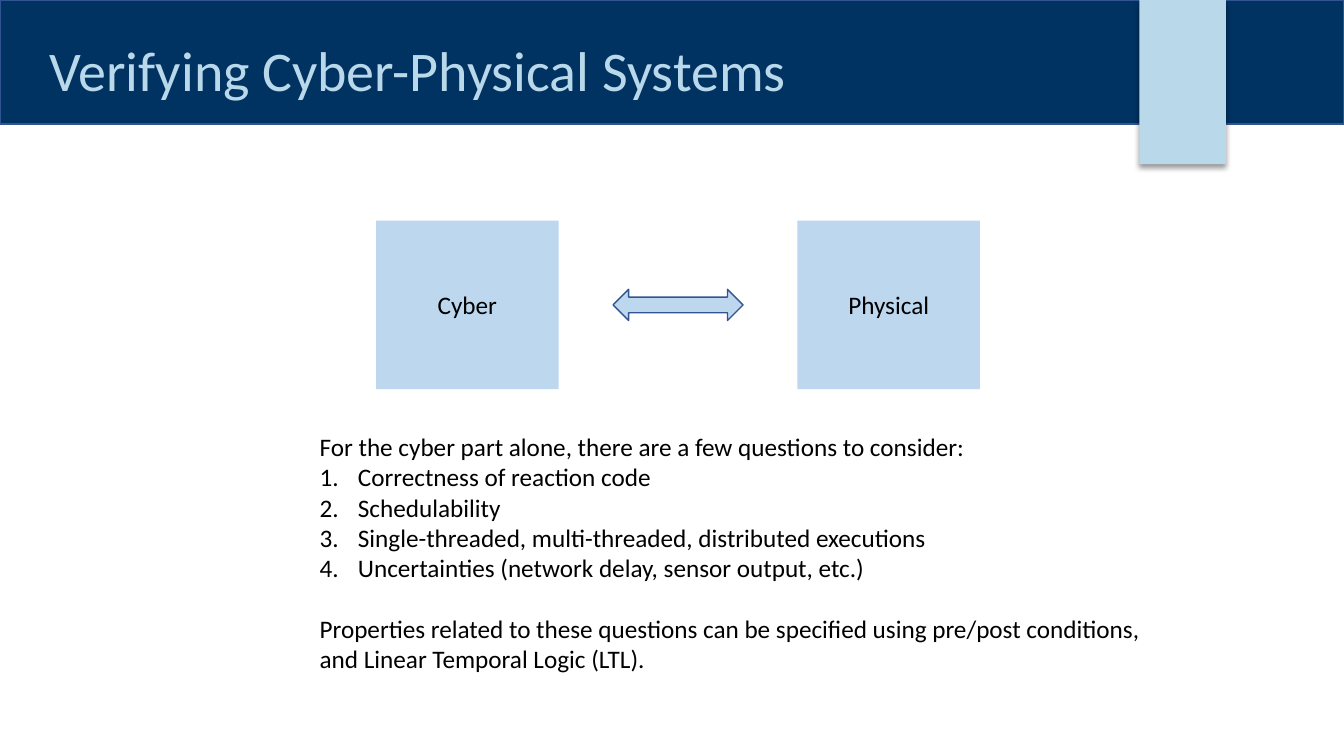
import dataclasses

import lxml.etree
import pptx
import pptx.dml.color
import pptx.enum.shapes
import pptx.enum.text
import pptx.oxml
import pptx.oxml.ns
import pptx.util

SHAPE = pptx.enum.shapes.MSO_SHAPE
ALIGN = pptx.enum.text.PP_ALIGN
ANCHOR = pptx.enum.text.MSO_ANCHOR
WIDTH, HEIGHT = 13.33, 7.5


@dataclasses.dataclass(frozen=True)
class Theme:
    font: str = "Calibri"
    title_size: int = 40
    text_size: int = 18
    navy: str = "003262"
    sky: str = "B9D9EB"
    panel: str = "BDD7EE"
    outline: str = "325491"
    ink: str = "000000"


THEME = Theme()


def rgb(color):
    return pptx.dml.color.RGBColor.from_string(color)


def place(box):
    """Turn a box in percent of the slide's width and height into lengths."""
    return [pptx.util.Inches(share * side / 100)
            for share, side in zip(box, (WIDTH, HEIGHT, WIDTH, HEIGHT))]


def move(sp, box):
    sp.left, sp.top, sp.width, sp.height = place(box)


def write(p, text, size=THEME.text_size, color=THEME.ink,
          align=ALIGN.LEFT, line=1.0, before=0):
    p.alignment, p.line_spacing = align, line
    p.space_before = pptx.util.Pt(before)
    r = p.add_run()
    r.text = text
    r.font.name, r.font.size = THEME.font, pptx.util.Pt(size)
    r.font.color.rgb = rgb(color)


def set_bullet(p, numbered, indent=0.38):
    pPr = p._p.get_or_add_pPr()
    hang = pptx.util.Inches(indent) if numbered else 0
    pPr.set("marL", str(hang))
    pPr.set("indent", str(-hang))
    if numbered:
        font = lxml.etree.SubElement(pPr, pptx.oxml.ns.qn("a:buFont"))
        font.set("typeface", "+mj-lt")
        number = lxml.etree.SubElement(pPr, pptx.oxml.ns.qn("a:buAutoNum"))
        number.set("type", "arabicPeriod")
    else:
        lxml.etree.SubElement(pPr, pptx.oxml.ns.qn("a:buNone"))


def add_block(s, kind, box, fill, outline=None):
    sp = s.shapes.add_shape(kind, *place(box))
    sp.shadow.inherit = False
    sp.fill.solid()
    sp.fill.fore_color.rgb = rgb(fill)
    if outline:
        sp.line.color.rgb = rgb(outline)
        sp.line.width = pptx.util.Pt(1)
    else:
        sp.line.fill.background()
    return sp


def drop_shadow(sp, blur=4, distance=3, opacity=40):
    effects = sp.element.spPr.find(pptx.oxml.ns.qn("a:effectLst"))
    effects.append(pptx.oxml.parse_xml(
        f'<a:outerShdw {pptx.oxml.ns.nsdecls("a")} blurRad="{pptx.util.Pt(blur)}"'
        f' dist="{pptx.util.Pt(distance)}" dir="5400000" algn="t" rotWithShape="0">'
        f'<a:srgbClr val="{THEME.ink}"><a:alpha val="{opacity * 1000}"/></a:srgbClr>'
        '</a:outerShdw>'))


def add_header(s, box, text):
    x, y, w, h = box
    band = add_block(s, SHAPE.RECTANGLE, box, THEME.navy, THEME.outline)
    title = s.shapes.title
    title.element.addprevious(band.element)  # keeps the title above the band
    move(title, (x + 2.93, y + 2, w * 0.79, h - 4))
    tf = title.text_frame
    tf.word_wrap, tf.vertical_anchor = True, ANCHOR.BOTTOM
    tf.auto_size = pptx.enum.text.MSO_AUTO_SIZE.NONE
    write(tf.paragraphs[0], text, size=THEME.title_size, color=THEME.sky, line=0.9)
    ribbon = add_block(s, SHAPE.RECTANGLE, (x + 84.77, y, 6.45, h + 5.33), THEME.sky)
    drop_shadow(ribbon)


def add_diagram(s, box, labels):
    """Put two labelled panels at the ends of the box, an arrow between them."""
    x, y, w, h = box
    panel_w, arrow_w, arrow_h = 13.58, 9.68, 4.13
    for left, label in zip((x, x + w - panel_w), labels):
        sp = add_block(s, SHAPE.RECTANGLE, (left, y, panel_w, h), THEME.panel)
        sp.text_frame.vertical_anchor = ANCHOR.MIDDLE
        write(sp.text_frame.paragraphs[0], label, align=ALIGN.CENTER)
    middle = (x + (w - arrow_w) / 2, y + (h - arrow_h) / 2, arrow_w, arrow_h)
    add_block(s, SHAPE.LEFT_RIGHT_ARROW, middle, THEME.panel, THEME.outline)


def add_questions(s, box, intro, questions, closing):
    body = s.placeholders[1]
    move(body, box)
    tf = body.text_frame
    tf.word_wrap, tf.vertical_anchor = True, ANCHOR.TOP
    tf.auto_size = pptx.enum.text.MSO_AUTO_SIZE.NONE
    lines = [(intro, False, 0)]
    lines += [(question, True, 0) for question in questions]
    lines += [(closing, False, 22)]
    for i, (text, numbered, before) in enumerate(lines):
        p = tf.add_paragraph() if i else tf.paragraphs[0]
        set_bullet(p, numbered)
        write(p, text, before=before)


def main():
    prs = pptx.Presentation()
    prs.slide_width = pptx.util.Inches(WIDTH)
    prs.slide_height = pptx.util.Inches(HEIGHT)
    s = prs.slides.add_slide(prs.slide_layouts[1])
    add_header(s, (0, 0, 100, 16.4), "Verifying Cyber-Physical Systems")
    add_diagram(s, (27.98, 29.2, 44.94, 22.27), ("Cyber", "Physical"))
    add_questions(
        s, (23.03, 56.4, 64.52, 33.6),
        "For the cyber part alone, there are a few questions to consider:",
        ("Correctness of reaction code",
         "Schedulability",
         "Single-threaded, multi-threaded, distributed executions",
         "Uncertainties (network delay, sensor output, etc.)"),
        "Properties related to these questions can be specified using "
        "pre/post conditions, and Linear Temporal Logic (LTL).")
    prs.save("out.pptx")


if __name__ == "__main__":
    main()
